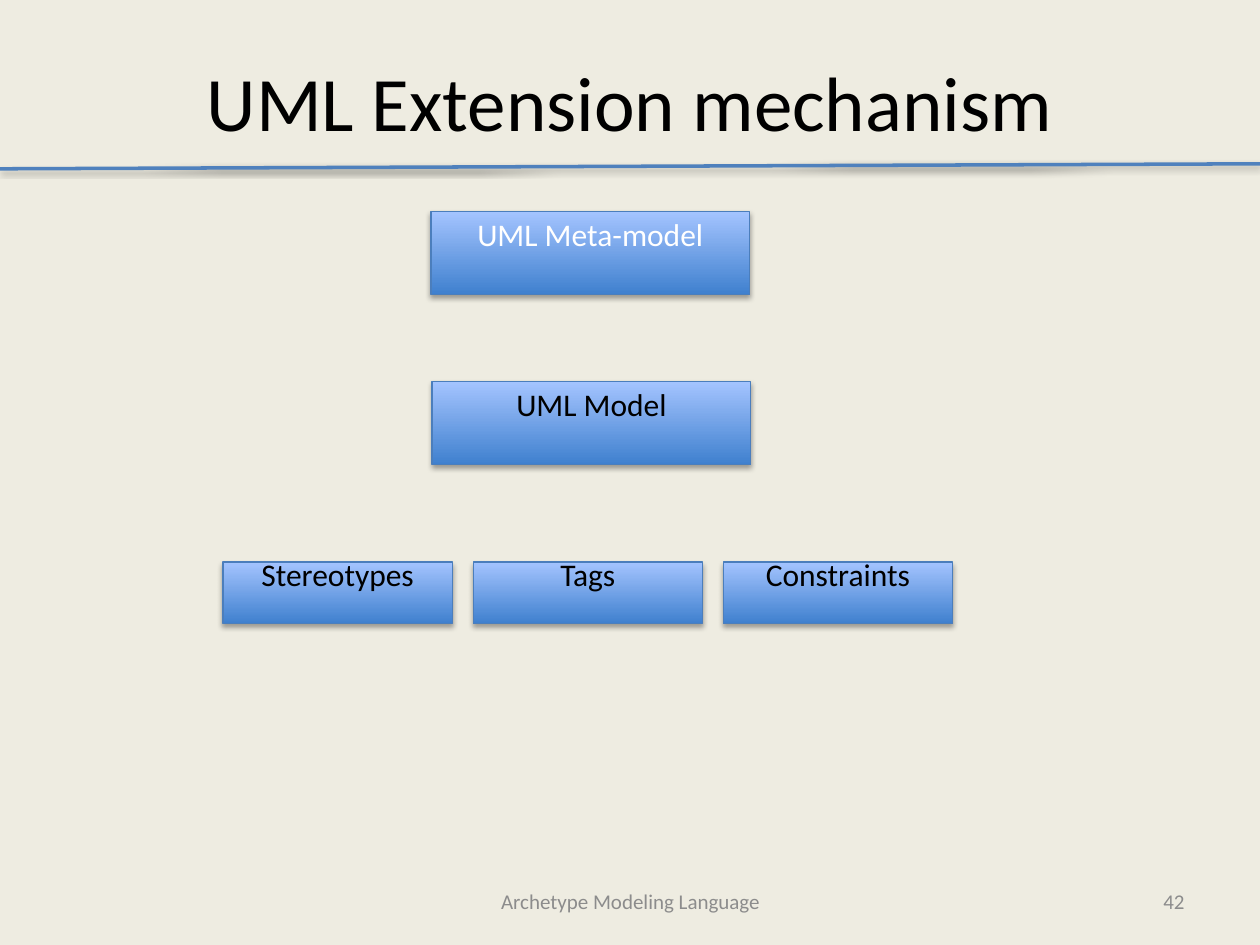
from dataclasses import dataclass

from lxml import etree
from pptx import Presentation
from pptx.dml.color import RGBColor
from pptx.enum.shapes import MSO_CONNECTOR, MSO_SHAPE
from pptx.enum.text import MSO_ANCHOR, PP_ALIGN
from pptx.oxml.ns import qn
from pptx.util import Inches, Pt

STRAIGHT = MSO_CONNECTOR.STRAIGHT
RECTANGLE = MSO_SHAPE.RECTANGLE
MIDDLE = MSO_ANCHOR.MIDDLE
CENTER = PP_ALIGN.CENTER
RIGHT = PP_ALIGN.RIGHT
TITLE_ONLY = 5


@dataclass(frozen=True)
class Theme:
    font: str = "Calibri"
    background: str = "EEECE1"
    ink: str = "000000"
    light_ink: str = "FFFFFF"
    footer_ink: str = "8C8C8C"
    rule: str = "4F81BD"
    box_line: str = "4B7EBC"
    box_bottom: str = "3F80CE"
    box_top: str = "A4C4FF"
    title_size: int = 44
    box_size: int = 18
    footer_size: int = 12


THEME = Theme()


def rgb(value):
    return RGBColor.from_string(value)


def write(frame, text, size, color, align=CENTER):
    frame.word_wrap = True
    frame.vertical_anchor = MIDDLE
    frame.text = text
    paragraph = frame.paragraphs[0]
    paragraph.alignment = align
    font = paragraph.runs[0].font
    font.name = THEME.font
    font.size = Pt(size)
    font.color.rgb = rgb(color)


def add_shadow(properties, distance, opacity):
    effects = properties.find(qn("a:effectLst"))
    if effects is None:
        effects = etree.SubElement(properties, qn("a:effectLst"))
    shadow = etree.SubElement(
        effects, qn("a:outerShdw"), blurRad=str(Pt(3.1)),
        dist=str(Pt(distance)), dir="5400000", rotWithShape="0")
    color = etree.SubElement(shadow, qn("a:srgbClr"), val=THEME.ink)
    etree.SubElement(color, qn("a:alpha"), val=str(opacity * 1000))


def add_title(slide, text):
    title = slide.shapes.title
    title.left, title.top = Inches(0.5), Inches(0.3)
    title.width, title.height = Inches(9), Inches(1)
    write(title.text_frame, text, THEME.title_size, THEME.ink)


def add_footer(slide, text, left, width, align):
    footer = slide.shapes.add_textbox(
        Inches(left), Inches(6.95), Inches(width), Inches(0.4))
    write(footer.text_frame, text, THEME.footer_size, THEME.footer_ink, align)


def add_title_rule(slide):
    rule = slide.shapes.add_connector(
        STRAIGHT, Inches(0), Inches(1.34), Inches(10), Inches(1.3))
    rule.line.color.rgb = rgb(THEME.rule)
    rule.line.width = Pt(2)
    add_shadow(rule.element.spPr, 1.6, 38)


def add_box(slide, text, left, top, width, height, color=THEME.ink):
    box = slide.shapes.add_shape(
        RECTANGLE, Inches(left), Inches(top), Inches(width), Inches(height))
    box.fill.gradient()
    box.fill.gradient_angle = 90
    bottom, upper = box.fill.gradient_stops
    bottom.color.rgb, bottom.position = rgb(THEME.box_bottom), 0
    upper.color.rgb, upper.position = rgb(THEME.box_top), 1
    box.line.color.rgb = rgb(THEME.box_line)
    box.line.width = Pt(0.75)
    box.shadow.inherit = False
    add_shadow(box.element.spPr, 1.8, 35)
    frame = box.text_frame
    frame.margin_top, frame.margin_bottom = Inches(0), Inches(0.3)
    write(frame, text, THEME.box_size, color)


def main():
    deck = Presentation()
    deck.slide_width, deck.slide_height = Inches(10), Inches(7.5)
    slide = deck.slides.add_slide(deck.slide_layouts[TITLE_ONLY])
    background = slide.background.fill
    background.solid()
    background.fore_color.rgb = rgb(THEME.background)

    add_title(slide, "UML Extension mechanism")
    add_footer(slide, "Archetype Modeling Language", 3.42, 3.17, CENTER)
    add_footer(slide, "42", 7.17, 2.33, RIGHT)
    add_title_rule(slide)

    add_box(slide, "UML Meta-model", 3.42, 1.68, 2.53, 0.66, THEME.light_ink)
    add_box(slide, "UML Model", 3.43, 3.03, 2.53, 0.66)
    for column, extension in enumerate(("Stereotypes", "Tags", "Constraints")):
        add_box(slide, extension, 1.77 + column * 1.985, 4.46, 1.82, 0.49)

    deck.save("out.pptx")


if __name__ == "__main__":
    main()
